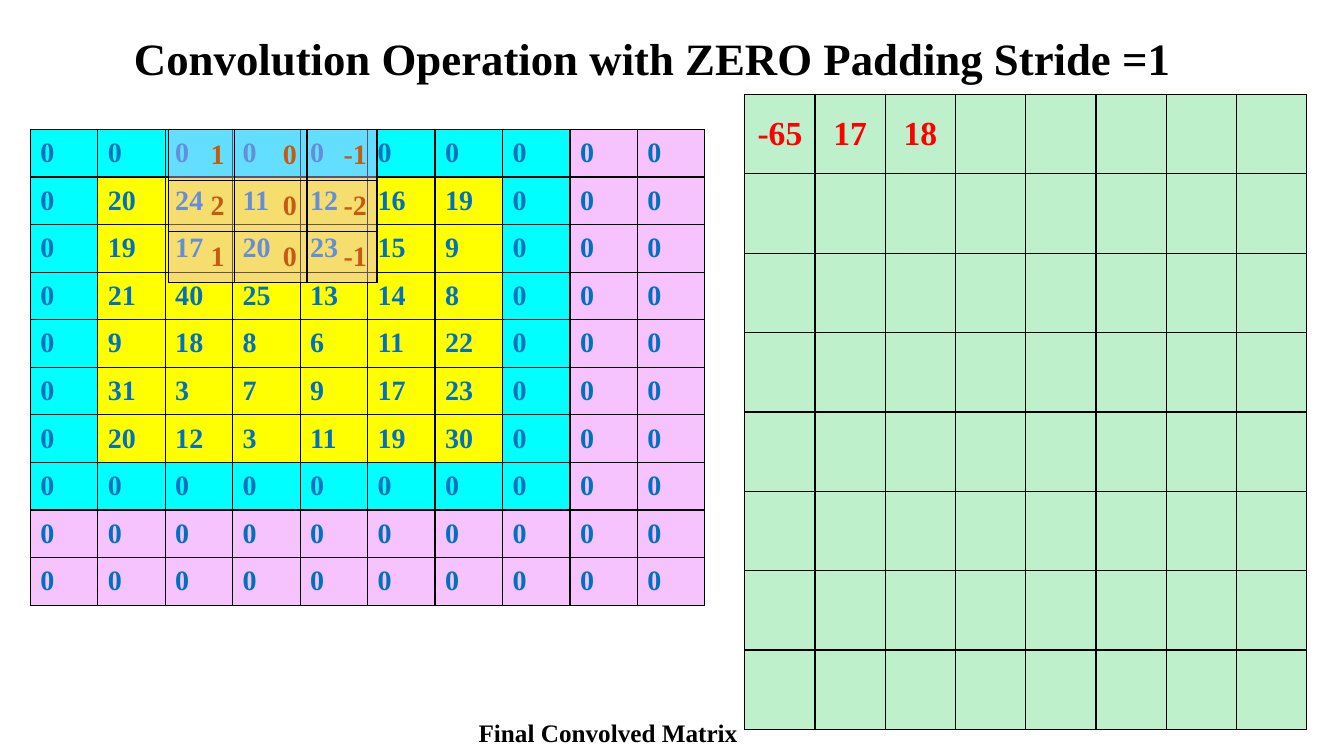
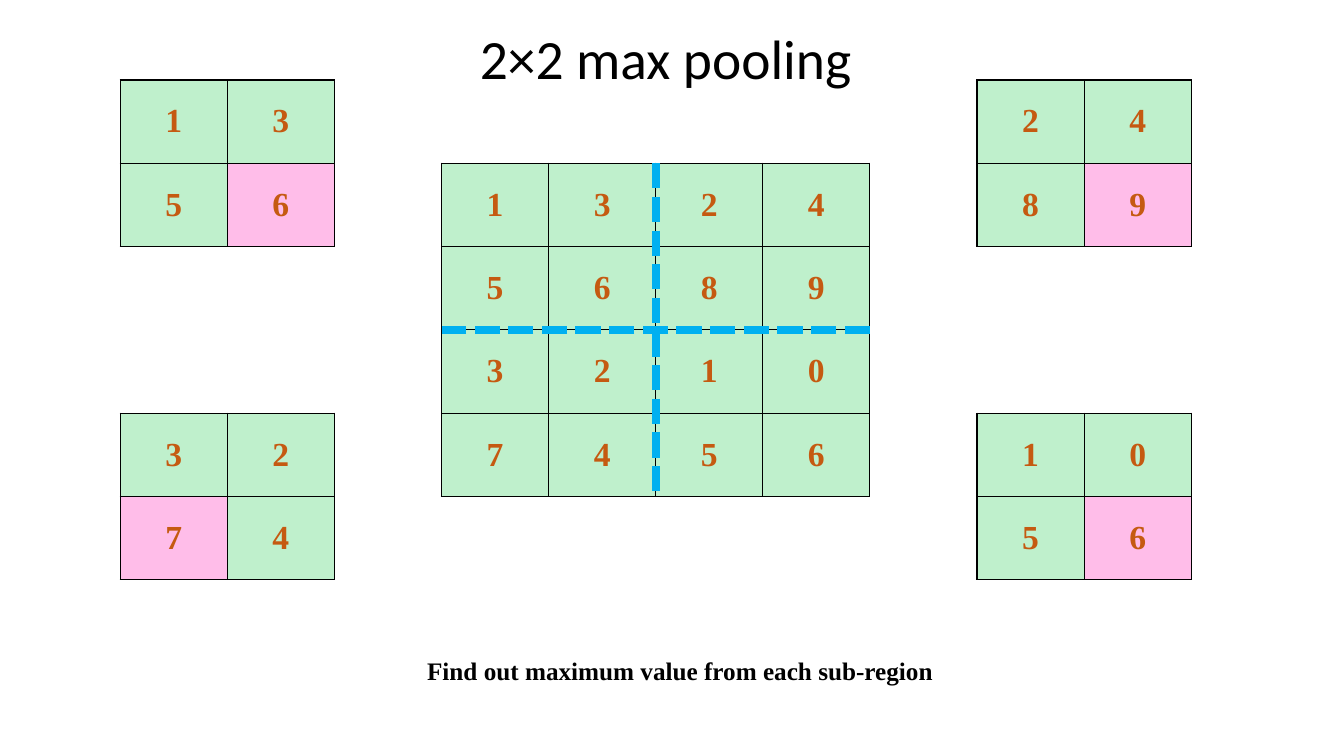
"""Build two slides on zero-padded convolution and 2×2 max pooling."""
import pptx
import pptx.dml.color
import pptx.enum.dml
import pptx.enum.shapes
import pptx.enum.text
import pptx.oxml.ns
import lxml.etree

Pt = pptx.util.Pt
RGBColor = pptx.dml.color.RGBColor
ALIGN = pptx.enum.text.PP_ALIGN
ANCHOR = pptx.enum.text.MSO_ANCHOR
qn = pptx.oxml.ns.qn

BLACK = RGBColor(0x00, 0x00, 0x00)
BLUE = RGBColor(0x00, 0x70, 0xC0)
ORANGE = RGBColor(0xC5, 0x5A, 0x11)
RED = RGBColor(0xFF, 0x00, 0x00)
CYAN = RGBColor(0x00, 0xFF, 0xFF)
YELLOW = RGBColor(0xFF, 0xFF, 0x00)
LILAC = RGBColor(0xF6, 0xC3, 0xFF)
KERNEL_PURPLE = RGBColor(0xE8, 0xB4, 0xFF)
GREEN = RGBColor(0x6B, 0xDE, 0x8A)
PINK = RGBColor(0xFF, 0x66, 0xCC)
DIVIDER_BLUE = RGBColor(0x00, 0xB0, 0xF0)

SERIF = "Times New Roman"
TITLE_FONT = {"name": SERIF, "size": Pt(32), "bold": True}
POOL_TITLE_FONT = {"name": "Calibri", "size": Pt(39.6), "bold": False}
CAPTION_FONT = {"name": SERIF, "size": Pt(18), "bold": True}
INPUT_FONT = {"name": SERIF, "size": Pt(20), "bold": True}
RESULT_FONT = {"name": SERIF, "size": Pt(24), "bold": True}
ALPHA = "43000"


def add_label(slide, text, box, font, align=ALIGN.LEFT, anchor=ANCHOR.TOP, spacing=1.0):
    frame = slide.shapes.add_textbox(*map(Pt, box)).text_frame
    frame.word_wrap = True
    frame.vertical_anchor = anchor
    paragraph = frame.paragraphs[0]
    paragraph.text = text
    paragraph.alignment = align
    paragraph.line_spacing = spacing
    for name, value in font.items():
        setattr(paragraph.font, name, value)
    paragraph.font.color.rgb = BLACK


def add_grid(slide, values, position, widths, height, font, color, align, fills, alpha=None):
    shape = slide.shapes.add_table(
        len(values), len(widths), *map(Pt, position), Pt(sum(widths)), Pt(height * len(values)))
    table = shape.table
    table.first_row = table.horz_banding = False
    for column, width in zip(table.columns, widths):
        column.width = Pt(width)
    for row_index, row in enumerate(values):
        table.rows[row_index].height = Pt(height)
        for column_index, value in enumerate(row):
            cell = table.cell(row_index, column_index)
            cell.vertical_anchor = ANCHOR.MIDDLE
            cell.fill.solid()
            cell.fill.fore_color.rgb = fills[row_index][column_index]
            properties = cell._tc.get_or_add_tcPr()
            if alpha:
                fill_color = properties.find(qn("a:solidFill")).find(qn("a:srgbClr"))
                lxml.etree.SubElement(fill_color, qn("a:alpha"), val=alpha)
            for order, side in enumerate("LRTB"):
                border = properties.makeelement(qn(f"a:ln{side}"), {"w": str(Pt(1))})
                solid = lxml.etree.SubElement(border, qn("a:solidFill"))
                lxml.etree.SubElement(solid, qn("a:srgbClr"), val=str(BLACK))
                properties.insert(order, border)
            if value != "":
                paragraph = cell.text_frame.paragraphs[0]
                paragraph.text = str(value)
                paragraph.alignment = align
                for name, setting in font.items():
                    setattr(paragraph.font, name, setting)
                paragraph.font.color.rgb = color


presentation = pptx.Presentation()
presentation.slide_width, presentation.slide_height = Pt(960), Pt(540)
blank = presentation.slide_layouts[6]

slide = presentation.slides.add_slide(blank)
IMAGE = [
    [20, 24, 11, 12, 16, 19],
    [19, 17, 20, 23, 15, 9],
    [21, 40, 25, 13, 14, 8],
    [9, 18, 8, 6, 11, 22],
    [31, 3, 7, 9, 17, 23],
    [20, 12, 3, 11, 19, 30],
]
padded = [[0] * 10, *([0, *row, 0, 0, 0] for row in IMAGE), *([0] * 10 for _ in range(3))]
padded_fills = [
    [LILAC if max(row, column) > 7
     else YELLOW if 1 <= min(row, column) and max(row, column) <= 6
     else CYAN for column in range(10)]
    for row in range(10)]
add_grid(slide, padded, (21.6, 92.4), [48.2] * 10, 34, INPUT_FONT, BLUE, ALIGN.LEFT, padded_fills)

KERNEL = [[1, 0, -1], [2, 0, -2], [1, 0, -1]]
add_grid(slide, KERNEL, (120.2, 92.4), [47.5, 51.6, 50], 36.5, INPUT_FONT, ORANGE,
         ALIGN.RIGHT, [[KERNEL_PURPLE] * 3] * 3, ALPHA)

convolved = [[-65, 17, 18] + [""] * 5] + [[""] * 8] * 7
add_grid(slide, convolved, (532, 67.5), [50.2] * 8, 56.7, RESULT_FONT, RED,
         ALIGN.CENTER, [[GREEN] * 8] * 8, ALPHA)
add_label(slide, "Final Convolved Matrix", (334.8, 509, 203.8, 29), CAPTION_FONT)
add_label(slide, "Convolution Operation with ZERO Padding Stride =1", (88.6, 18.7, 783.4, 46), TITLE_FONT)

slide = presentation.slides.add_slide(blank)
add_label(slide, "2×2 max pooling ", (66, 28.8, 828, 31), POOL_TITLE_FONT, ALIGN.CENTER, ANCHOR.MIDDLE, 0.9)

FEATURES = [[1, 3, 2, 4], [5, 6, 8, 9], [3, 2, 1, 0], [7, 4, 5, 6]]
LEFT, TOP, CELL_WIDTH, CELL_HEIGHT = 315.4, 116.6, 76.5, 59.5
add_grid(slide, FEATURES, (LEFT, TOP), [CELL_WIDTH] * 4, CELL_HEIGHT, RESULT_FONT, ORANGE,
         ALIGN.CENTER, [[GREEN] * 4] * 4, ALPHA)

middle_x, middle_y = LEFT + 2 * CELL_WIDTH, TOP + 2 * CELL_HEIGHT
right, bottom = LEFT + 4 * CELL_WIDTH, TOP + 4 * CELL_HEIGHT
for ends in [(middle_x, TOP, middle_x, bottom), (right, middle_y, LEFT, middle_y)]:
    divider = slide.shapes.add_connector(pptx.enum.shapes.MSO_CONNECTOR.STRAIGHT, *map(Pt, ends))
    divider.line.color.rgb = DIVIDER_BLUE
    divider.line.width = Pt(6)
    divider.line.dash_style = pptx.enum.dml.MSO_LINE.SQUARE_DOT
    lxml.etree.SubElement(divider._element.spPr, qn("a:effectLst"))

for row, row_shift in [(0, -1), (2, 3)]:
    for column, column_shift in [(0, -3), (2, 5)]:
        region = [line[column:column + 2] for line in FEATURES[row:row + 2]]
        largest = max(map(max, region))
        region_fills = [[PINK if value == largest else GREEN for value in line] for line in region]
        position = (LEFT + column_shift * CELL_WIDTH, TOP + row_shift * CELL_HEIGHT)
        add_grid(slide, region, position, [CELL_WIDTH] * 2, CELL_HEIGHT, RESULT_FONT, ORANGE,
                 ALIGN.CENTER, region_fills, ALPHA)
add_label(slide, "Find out maximum value from each sub-region", (298, 464.4, 424, 29), CAPTION_FONT)

presentation.save("out.pptx")
